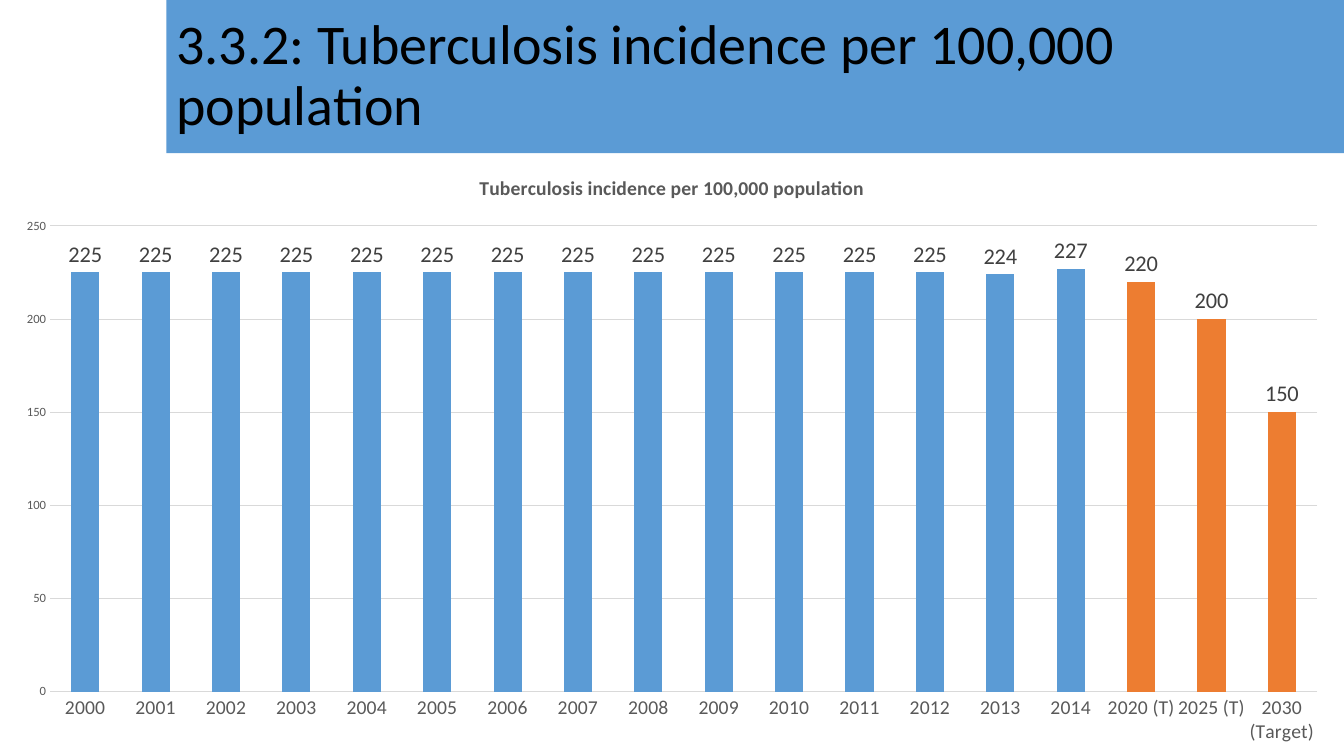
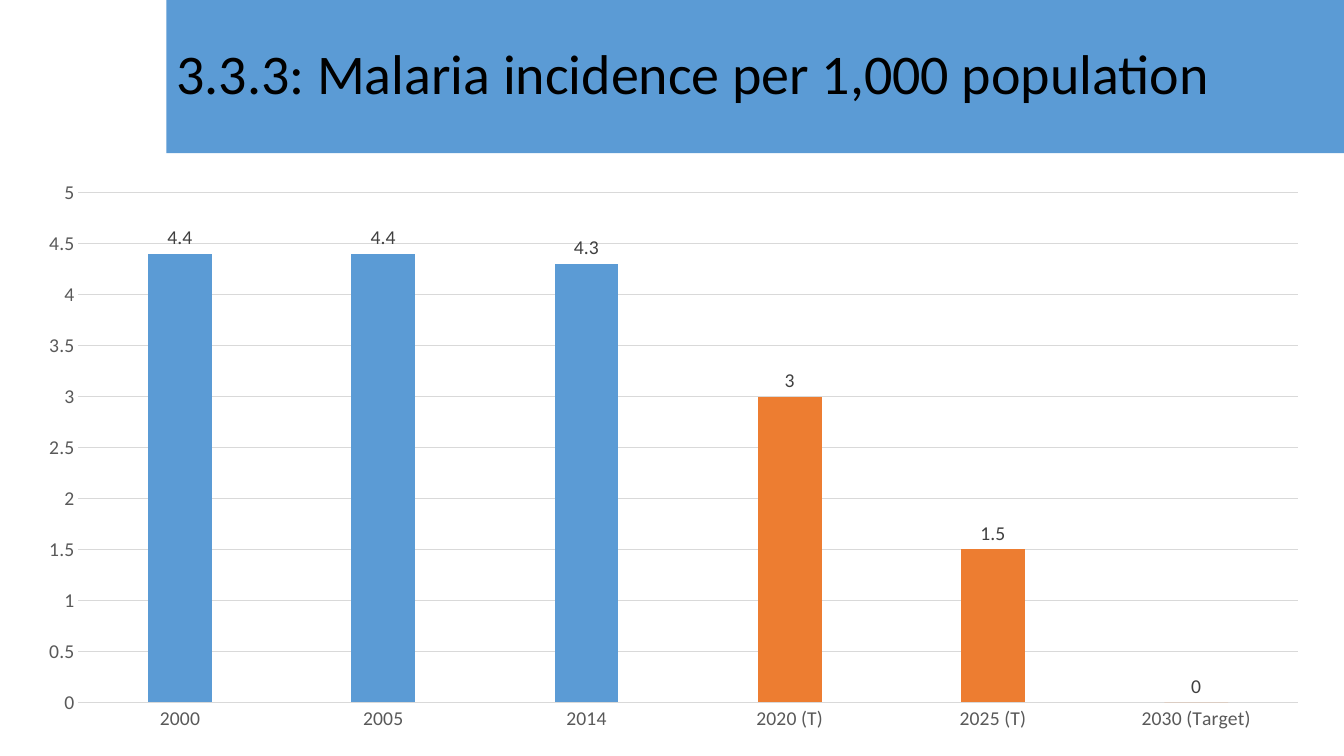
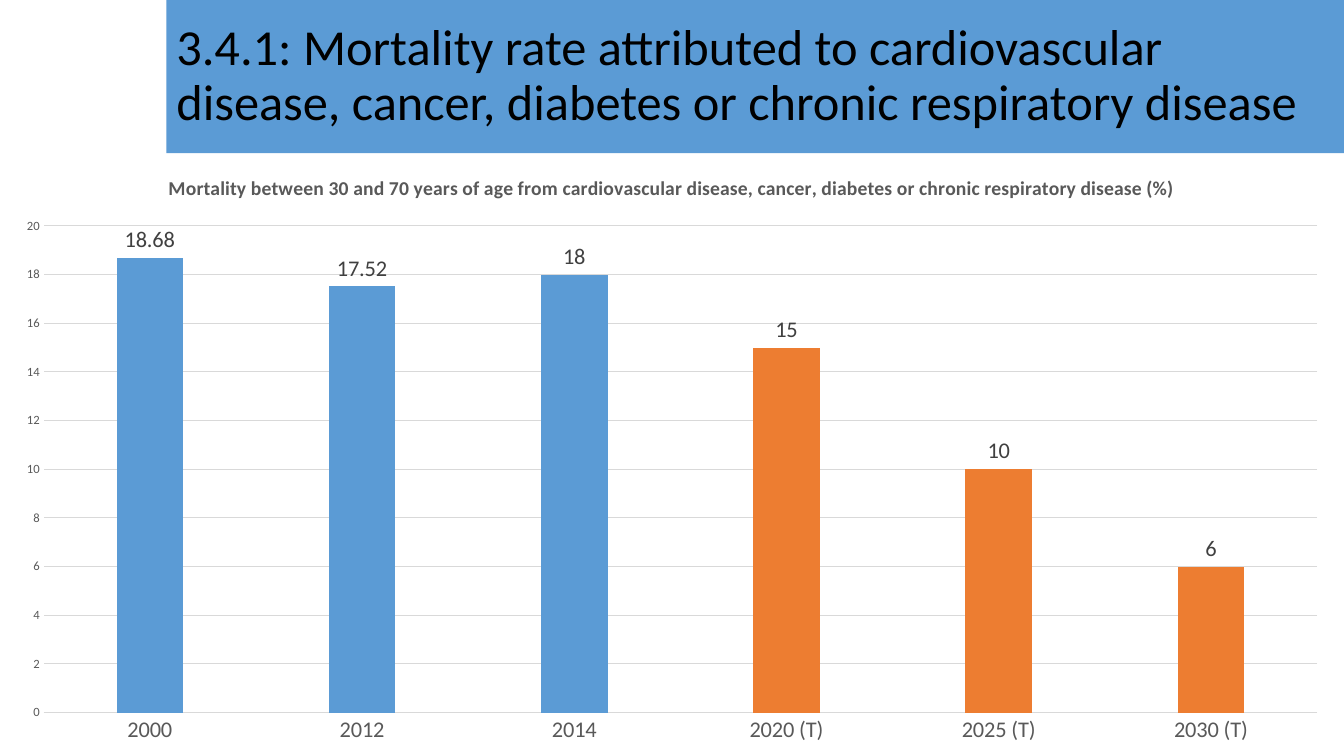
import pptx
import pptx.chart.data
import pptx.dml.color
import pptx.enum.chart
import pptx.enum.shapes
import pptx.enum.text
import pptx.util
from pptx.util import Inches

FONT = "Calibri"
COLORS = {
    "band": "5B9BD5",
    "actual": "5B9BD5",
    "target": "ED7D31",
    "title": "000000",
    "axis": "595959",
    "label": "404040",
    "grid": "D9D9D9",
}
SLIDE_WIDTH, SLIDE_HEIGHT = 13.33, 7.5
BAND_LEFT, BAND_HEIGHT = 1.65, 1.52
FULL_AREA = (0, BAND_HEIGHT, SLIDE_WIDTH, SLIDE_HEIGHT - BAND_HEIGHT)
INSET_AREA = (0.23, 1.68, 12.9, 5.68)

INDICATORS = [
    {
        "title": "3.3.2: Tuberculosis incidence per 100,000 population",
        "title_size": 40,
        "chart": {
            "area": FULL_AREA,
            "heading": "Tuberculosis incidence per 100,000 population",
            "categories": [str(year) for year in range(2000, 2015)]
            + ["2020 (T)", "2025 (T)", "2030 (Target)"],
            "values": [225] * 13 + [224, 227, 220, 200, 150],
            "scale": (250, 50),
            "sizes": {"category": 14, "value": 9, "label": 16},
            "bars": {"gap_width": 150, "overlap": 0},
        },
    },
    {
        "title": "3.3.3: Malaria incidence per 1,000 population",
        "title_size": 40,
        "chart": {
            "area": INSET_AREA,
            "heading": None,
            "categories": ["2000", "2005", "2014", "2020 (T)", "2025 (T)", "2030 (Target)"],
            "values": [4.4, 4.4, 4.3, 3, 1.5, 0],
            "scale": (5, 0.5),
            "sizes": {"category": 14, "value": 14, "label": 14},
            "bars": {"gap_width": 219, "overlap": -27},
        },
    },
    {
        "title": "3.4.1: Mortality rate attributed to cardiovascular disease, "
        "cancer, diabetes or chronic respiratory disease",
        "title_size": 36,
        "chart": {
            "area": FULL_AREA,
            "heading": "Mortality between 30 and 70 years of age from cardiovascular "
            "disease, cancer, diabetes or chronic respiratory disease (%)",
            "categories": ["2000", "2012", "2014", "2020 (T)", "2025 (T)", "2030 (T)"],
            "values": [18.68, 17.52, 18, 15, 10, 6],
            "scale": (20, 2),
            "sizes": {"category": 16, "value": 9, "label": 16},
            "bars": {"gap_width": 219, "overlap": -27},
        },
    },
]


def set_attributes(target, values):
    for name, value in values.items():
        setattr(target, name, value)


def rgb(color):
    return pptx.dml.color.RGBColor.from_string(COLORS[color])


def fill_solid(fill, color):
    fill.solid()
    fill.fore_color.rgb = rgb(color)


def style_font(font, size, color, bold=False):
    set_attributes(font, {"name": FONT, "size": pptx.util.Pt(size), "bold": bold})
    font.color.rgb = rgb(color)


def style_line(line, color):
    line.color.rgb = rgb(color)
    line.width = pptx.util.Pt(0.75)


class Deck:
    """Holds the presentation and the slide being filled."""

    def __init__(self):
        self.presentation = pptx.Presentation()
        set_attributes(self.presentation, {
            "slide_width": Inches(SLIDE_WIDTH),
            "slide_height": Inches(SLIDE_HEIGHT),
        })
        self.slide = None

    def add_slide(self):
        self.slide = self.presentation.slides.add_slide(self.presentation.slide_layouts[6])

    def add_title_band(self, text, size):
        shape = self.slide.shapes.add_shape(
            pptx.enum.shapes.MSO_SHAPE.RECTANGLE,
            Inches(BAND_LEFT), 0, Inches(SLIDE_WIDTH - BAND_LEFT), Inches(BAND_HEIGHT),
        )
        shape.shadow.inherit = False
        fill_solid(shape.fill, "band")
        shape.line.fill.background()
        set_attributes(shape.text_frame, {
            "word_wrap": True,
            "vertical_anchor": pptx.enum.text.MSO_ANCHOR.MIDDLE,
        })
        paragraph = shape.text_frame.paragraphs[0]
        set_attributes(paragraph, {
            "text": text,
            "alignment": pptx.enum.text.PP_ALIGN.LEFT,
            "line_spacing": 0.9,
        })
        style_font(paragraph.runs[0].font, size, "title")

    def add_column_chart(self, area, heading, categories, values, scale, sizes, bars):
        data = pptx.chart.data.CategoryChartData()
        data.categories = categories
        data.add_series("Series 1", values)
        chart = self.slide.shapes.add_chart(
            pptx.enum.chart.XL_CHART_TYPE.COLUMN_CLUSTERED, *map(Inches, area), data
        ).chart
        style_font(chart.font, 10, "title")
        set_attributes(chart, {"has_legend": False, "has_title": heading is not None})
        if heading:
            paragraph = chart.chart_title.text_frame.paragraphs[0]
            paragraph.text = heading
            style_font(paragraph.runs[0].font, 14, "axis", bold=True)
            chart.chart_title.include_in_layout = False
        self.style_axes(chart, scale, sizes)
        self.style_columns(chart.plots[0], categories, sizes["label"], bars)

    def style_axes(self, chart, scale, sizes):
        no_tick = pptx.enum.chart.XL_TICK_MARK.NONE
        for axis, role in ((chart.category_axis, "category"), (chart.value_axis, "value")):
            set_attributes(axis, {"major_tick_mark": no_tick, "minor_tick_mark": no_tick})
            style_font(axis.tick_labels.font, sizes[role], "axis")
        style_line(chart.category_axis.format.line, "grid")
        maximum, step = scale
        set_attributes(chart.value_axis, {
            "minimum_scale": 0,
            "maximum_scale": maximum,
            "major_unit": step,
            "has_major_gridlines": True,
        })
        chart.value_axis.format.line.fill.background()
        style_line(chart.value_axis.major_gridlines.format.line, "grid")

    def style_columns(self, plot, categories, label_size, bars):
        """Colour the columns, with target years set apart, and label them."""
        set_attributes(plot, {"vary_by_categories": False, **bars})
        series = plot.series[0]
        series.invert_if_negative = False
        fill_solid(series.format.fill, "actual")
        for index, category in enumerate(categories):
            if "(T" in category:
                fill_solid(series.points[index].format.fill, "target")
        labels = series.data_labels
        set_attributes(labels, {
            "show_value": True,
            "position": pptx.enum.chart.XL_LABEL_POSITION.OUTSIDE_END,
        })
        style_font(labels.font, label_size, "label")


def main():
    deck = Deck()
    for indicator in INDICATORS:
        deck.add_slide()
        deck.add_title_band(indicator["title"], indicator["title_size"])
        deck.add_column_chart(**indicator["chart"])
    deck.presentation.save("out.pptx")


if __name__ == "__main__":
    main()
